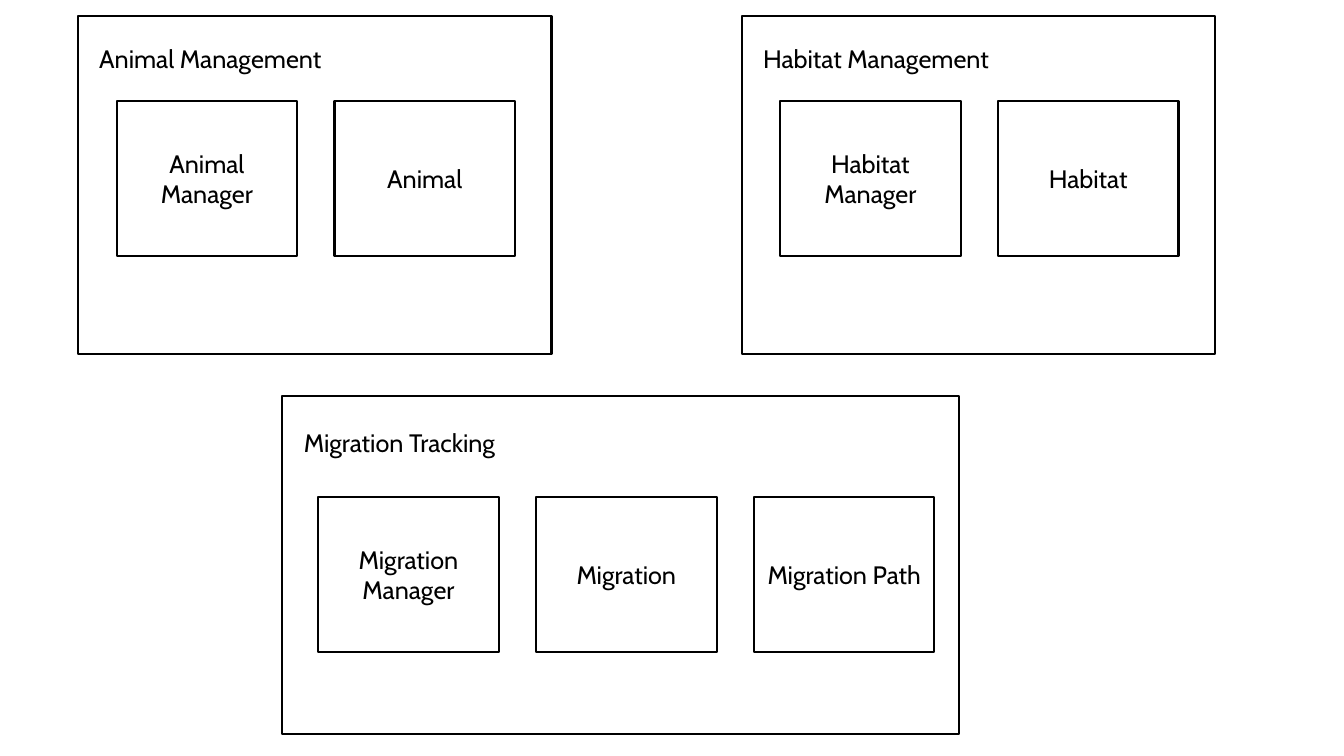
from pptx import Presentation
from pptx.dml.color import RGBColor
from pptx.enum.shapes import MSO_SHAPE as Shape
from pptx.enum.text import MSO_ANCHOR as Anchor, MSO_AUTO_SIZE as AutoSize, PP_ALIGN as Align
from pptx.util import Cm, Pt

BLACK = RGBColor(0, 0, 0)
FONT = {"name": "Cabin", "size": Pt(18)}
PANEL_H = 8.51
CLASS_W, CLASS_H, CLASS_STEP = 4.55, 3.91, 5.49

# Lengths in cm; title and class offsets are relative to the panel's corner
MODULES = [
    {"title": "Animal Management", "box": (1.96, 0.41, 11.94, PANEL_H),
     "title_box": (0.29, 0.56, 6.22, 1.02), "first_class": (0.98, 2.13),
     "classes": ["Animal Manager", "Animal"]},
    {"title": "Habitat Management", "box": (18.69, 0.41, 11.94, PANEL_H),
     "title_box": (0.29, 0.56, 6.35, 1.02), "first_class": (0.97, 2.13),
     "classes": ["Habitat Manager", "Habitat"]},
    {"title": "Migration Tracking", "box": (7.11, 9.98, 17.07, PANEL_H),
     "title_box": (0.3, 0.66, 5.49, 1.02), "first_class": (0.91, 2.54),
     "classes": ["Migration Manager", "Migration", "Migration Path"]},
]


def set_text(tf, text, align):
    p = tf.paragraphs[0]
    p.alignment = align
    r = p.add_run()
    r.text = text
    for name, value in FONT.items():
        setattr(r.font, name, value)
    r.font.color.rgb = BLACK


def add_frame(shapes, box):
    """Add an unfilled rectangle with a black outline."""
    sp = shapes.add_shape(Shape.RECTANGLE, *map(Cm, box))
    sp.shadow.inherit = False
    sp.fill.background()
    sp.line.color.rgb = BLACK
    sp.line.width = Pt(1.5)
    return sp


def add_title(shapes, box, text):
    tf = shapes.add_textbox(*map(Cm, box)).text_frame
    tf.word_wrap = False
    tf.auto_size = AutoSize.SHAPE_TO_FIT_TEXT
    set_text(tf, text, Align.LEFT)


def add_class(shapes, box, text):
    tf = add_frame(shapes, box).text_frame
    tf.word_wrap = True
    tf.vertical_anchor = Anchor.MIDDLE
    set_text(tf, text, Align.CENTER)


def add_module(s, box, title, title_box, first_class, classes):
    """Group a panel with its title and a row of class boxes."""
    shapes = s.shapes.add_group_shape().shapes
    left, top = box[:2]
    add_frame(shapes, box)
    dx, dy, width, height = title_box
    add_title(shapes, (left + dx, top + dy, width, height), title)
    dx, dy = first_class
    for i, name in enumerate(classes):
        x = left + dx + i * CLASS_STEP
        add_class(shapes, (x, top + dy, CLASS_W, CLASS_H), name)


def main():
    prs = Presentation()
    prs.slide_width, prs.slide_height = Cm(33.87), Cm(19.05)
    s = prs.slides.add_slide(prs.slide_layouts[6])
    for module in MODULES:
        add_module(s, **module)
    prs.save("out.pptx")


if __name__ == "__main__":
    main()
